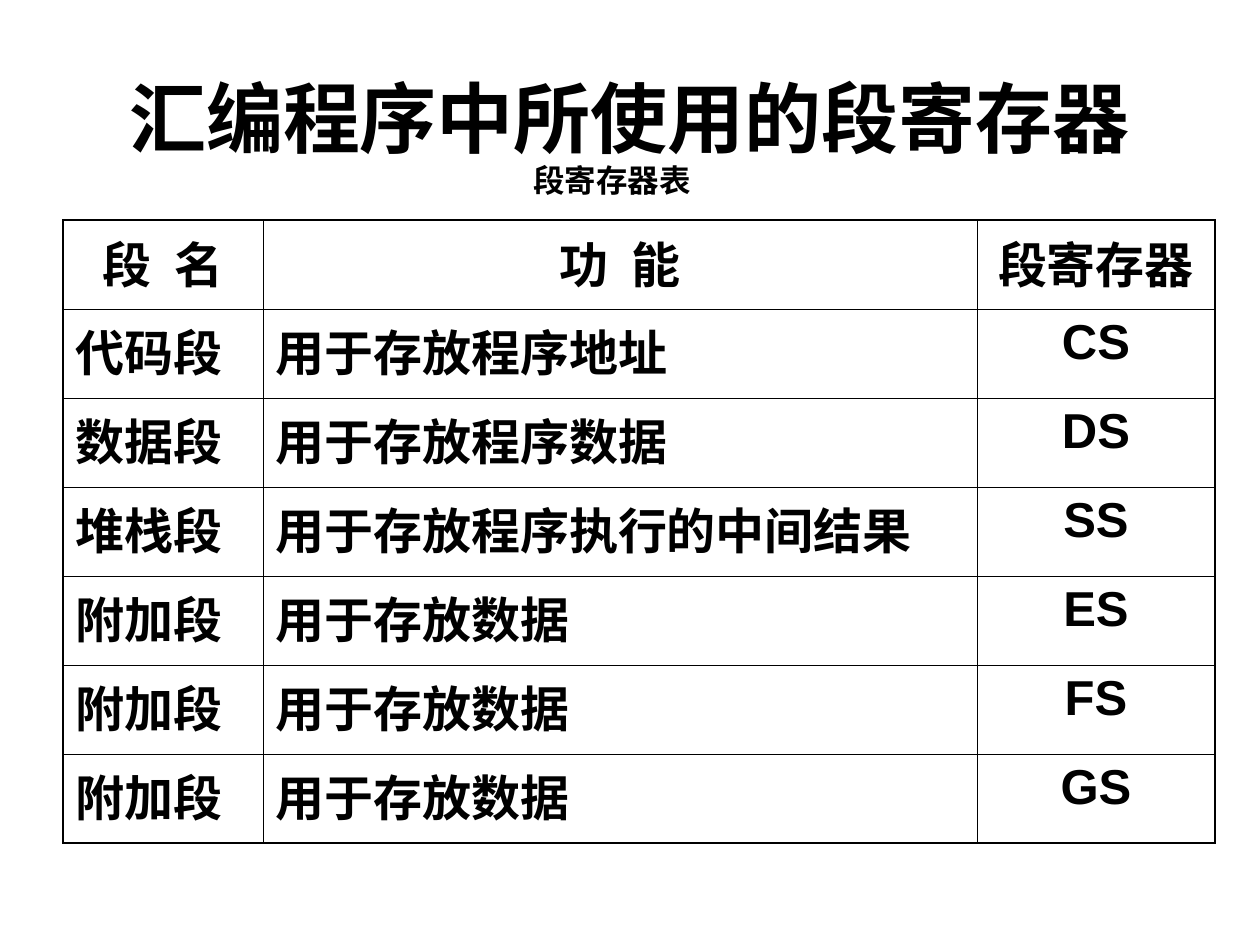
from lxml.etree import SubElement
from pptx import Presentation
from pptx.dml.color import RGBColor
from pptx.enum.text import MSO_ANCHOR, MSO_AUTO_SIZE, PP_ALIGN
from pptx.oxml.ns import qn
from pptx.util import Emu, Pt

SCALE = 914400 / 126
HEAD = ["段  名", "功  能", "段寄存器"]
ROWS = [
    ["代码段", "用于存放程序地址", "CS"],
    ["数据段", "用于存放程序数据", "DS"],
    ["堆栈段", "用于存放程序执行的中间结果", "SS"],
    ["附加段", "用于存放数据", "ES"],
    ["附加段", "用于存放数据", "FS"],
    ["附加段", "用于存放数据", "GS"],
]


def px(size):
    return Emu(round(size * SCALE))


def color(code):
    return RGBColor.from_string(code)


class Deck:
    font = "Arial"
    ink = "000000"
    thick = 1.08
    thin = 0.45

    def __init__(self, width, height):
        self.show = Presentation()
        self.show.slide_width = px(width)
        self.show.slide_height = px(height)
        self.slide = self.show.slides.add_slide(self.show.slide_layouts[6])

    def label(self, frame, text, size, align):
        frame.text = text
        para = frame.paragraphs[0]
        para.alignment = align
        for run in para.runs:
            run.font.name = self.font
            run.font.size = Pt(size)
            run.font.bold = True
            run.font.color.rgb = color(self.ink)

    def text(self, box, text, size, align=PP_ALIGN.LEFT, wrap=True):
        frame = self.slide.shapes.add_textbox(*map(px, box)).text_frame
        frame.word_wrap = wrap
        if wrap:
            frame.vertical_anchor = MSO_ANCHOR.MIDDLE
        else:
            frame.auto_size = MSO_AUTO_SIZE.SHAPE_TO_FIT_TEXT
        self.label(frame, text, size, align)

    def border(self, cell, edges):
        props = cell._tc.get_or_add_tcPr()
        for side, outer in edges.items():
            width = Pt(self.thick if outer else self.thin)
            line = SubElement(props, qn(f"a:ln{side}"), w=str(width))
            fill = SubElement(line, qn("a:solidFill"))
            SubElement(fill, qn("a:srgbClr"), val=self.ink)

    def table(self, left, top, cols, high, data, size):
        count = len(data)
        frame = self.slide.shapes.add_table(
            count, len(cols), px(left), px(top), px(sum(cols)), px(high * count))
        table = frame.table
        table.first_row = table.horz_banding = False
        for col, width in zip(table.columns, cols):
            col.width = px(width)
        for r, row in enumerate(data):
            table.rows[r].height = px(high)
            for c, text in enumerate(row):
                cell = table.cell(r, c)
                last = c == len(cols) - 1
                self.border(cell, {"L": c == 0, "R": last,
                                   "T": r == 0, "B": r == count - 1})
                cell.fill.background()
                mid = r == 0 or last
                self.label(cell.text_frame, text, size,
                           PP_ALIGN.CENTER if mid else PP_ALIGN.LEFT)


def main():
    deck = Deck(1260, 945)
    deck.text((63, 38, 1134, 157), "汇编程序中所使用的段寄存器", 44, PP_ALIGN.CENTER)
    deck.text((521, 155, 183, 50), "段寄存器表", 18, wrap=False)
    deck.table(63, 220, [200, 714, 238], 89, [HEAD] + ROWS, 28)
    deck.show.save("out.pptx")


if __name__ == "__main__":
    main()
